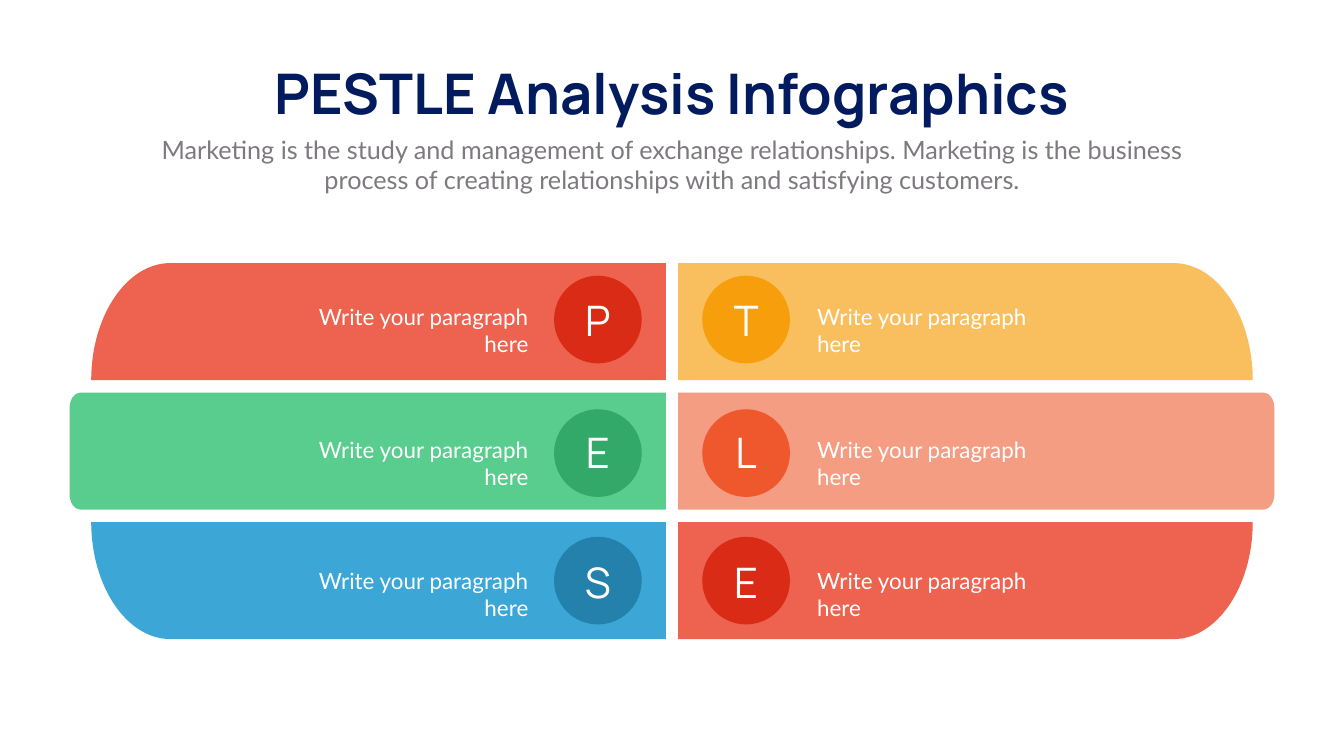
from lxml import etree
from pptx import Presentation
from pptx.dml.color import RGBColor
from pptx.enum.shapes import MSO_SHAPE
from pptx.enum.text import MSO_ANCHOR, MSO_AUTO_SIZE, PP_ALIGN
from pptx.oxml.ns import qn
from pptx.util import Inches, Pt

ELLIPSE = MSO_SHAPE.OVAL
TOP = MSO_ANCHOR.TOP
GROW = MSO_AUTO_SIZE.SHAPE_TO_FIT_TEXT
LEFT, CENTER, RIGHT = PP_ALIGN.LEFT, PP_ALIGN.CENTER, PP_ALIGN.RIGHT

TITLE = "PESTLE Analysis Infographics"
SUBTITLE = (
    "Marketing is the study and management of exchange relationships. "
    "Marketing is the business process of creating relationships with "
    "and satisfying customers."
)
CAPTION = "Write your paragraph here"

SIDES = [
    {
        "direction": -1, "caption_left": 5.32, "align": RIGHT,
        "factors": [("P", "EE6250", "D92B15"), ("E", "58CD8E", "33A969"), ("S", "3CA7D7", "2381AB")],
    },
    {
        "direction": 1, "caption_left": 16.11, "align": LEFT,
        "factors": [("T", "F9BF5F", "F69E0C"), ("L", "F59D83", "EE582C"), ("E", "EE6250", "D92B15")],
    },
]

NO_CORNER, SMALL_CORNER, BIG_CORNER = (0, 0), (0.21, 0.31), (1.57, 2.32)
ROWS = [
    {"width": 11.4, "top_corner": BIG_CORNER, "bottom_corner": NO_CORNER,
     "badge_top": 5.47, "letter_top": 5.8, "caption_top": 5.97},
    {"width": 11.83, "top_corner": SMALL_CORNER, "bottom_corner": SMALL_CORNER,
     "badge_top": 8.12, "letter_top": 8.41, "caption_top": 8.61},
    {"width": 11.4, "top_corner": NO_CORNER, "bottom_corner": BIG_CORNER,
     "badge_top": 10.65, "letter_top": 10.99, "caption_top": 11.21},
]

THEME = {
    "title": {"font": "Manrope", "size": 80, "color": "011B5E", "bold": True},
    "subtitle": {"font": "Lato", "size": 36, "color": "7D797E", "bold": False},
    "letter": {"font": "Manrope", "size": 60, "color": "FFFFFF", "bold": False},
    "caption": {"font": "Lato", "size": 32, "color": "FFFFFF", "bold": False},
}

SLIDE_WIDTH, SLIDE_HEIGHT = 26.66, 15
MIDDLE = SLIDE_WIDTH / 2
HALF_GAP = 0.12
BAR_TOP, BAR_HEIGHT, BAR_PITCH = 5.22, 2.32, 2.57
BADGE_OFFSET, BADGE_SIZE = 1.47, 1.74
LETTER_WIDTH, LETTER_HEIGHT = 1.59, 1.11
CAPTION_WIDTH, CAPTION_HEIGHT = 5.26, 0.64
ROUNDNESS = 0.55


def paint(shape, color):
    shape.shadow.inherit = False
    shape.fill.solid()
    shape.fill.fore_color.rgb = RGBColor.from_string(color)
    shape.line.fill.background()


def write(box, text, role, align, wrap=True):
    style = THEME[role]
    frame = box.text_frame
    frame.text = text
    frame.word_wrap = wrap
    frame.auto_size = GROW
    frame.vertical_anchor = TOP
    paragraph = frame.paragraphs[0]
    paragraph.alignment = align
    font = paragraph.font
    font.name = style["font"]
    font.size = Pt(style["size"])
    font.bold = style["bold"]
    font.color.rgb = RGBColor.from_string(style["color"])


def add_text(shapes, left, top, width, height, text, role, align):
    box = shapes.add_textbox(Inches(left), Inches(top), Inches(width), Inches(height))
    write(box, text, role, align)


def corner(width, radii, edge, inward):
    rx, ry = radii
    if not rx:
        return [(width, edge)]
    slack = 1 - ROUNDNESS
    return [
        (width - rx, edge),
        (width - rx * slack, edge),
        (width, edge + inward * ry * slack),
        (width, edge + inward * ry),
    ]


def bend(shape, curve_starts):
    lines = list(shape.element.iter(qn("a:lnTo")))
    for start in curve_starts:
        first, *others = lines[start:start + 3]
        curve = etree.Element(qn("a:cubicBezTo"))
        first.addprevious(curve)
        for line in (first, *others):
            curve.append(line[0])
            line.getparent().remove(line)


def add_bar(shapes, direction, top, row, color):
    width = row["width"]
    lower = corner(width, row["bottom_corner"], BAR_HEIGHT, -1)
    upper = corner(width, row["top_corner"], 0, 1)[::-1]
    outline = [(0, BAR_HEIGHT), *lower, *upper, (0, 0)]
    inner = MIDDLE + direction * HALF_GAP
    points = [(Inches(inner + direction * x), Inches(top + y)) for x, y in outline]
    builder = shapes.build_freeform(*points[0], scale=1.0)
    builder.add_line_segments(points[1:], close=True)
    bar = builder.convert_to_shape()
    curve_starts = [
        start for start, arc in ((1, lower), (len(lower) + 1, upper)) if len(arc) > 1
    ]
    bend(bar, curve_starts)
    paint(bar, color)


def add_factor(shapes, side, row, top, factor):
    letter, bar_color, badge_color = factor
    add_bar(shapes, side["direction"], top, row, bar_color)
    center = MIDDLE + side["direction"] * BADGE_OFFSET
    badge = shapes.add_shape(
        ELLIPSE, Inches(center - BADGE_SIZE / 2), Inches(row["badge_top"]),
        Inches(BADGE_SIZE), Inches(BADGE_SIZE),
    )
    paint(badge, badge_color)
    add_text(shapes, center - LETTER_WIDTH / 2, row["letter_top"],
             LETTER_WIDTH, LETTER_HEIGHT, letter, "letter", CENTER)
    add_text(shapes, side["caption_left"], row["caption_top"],
             CAPTION_WIDTH, CAPTION_HEIGHT, CAPTION, "caption", side["align"])


def main():
    deck = Presentation()
    deck.slide_width, deck.slide_height = Inches(SLIDE_WIDTH), Inches(SLIDE_HEIGHT)
    slide = deck.slides.add_slide(deck.slide_layouts[5])
    shapes = slide.shapes

    title = shapes.title
    title.left, title.top = Inches(4.96), Inches(1.12)
    title.width, title.height = Inches(16.74), Inches(1.45)
    write(title, TITLE, "title", CENTER, wrap=False)
    add_text(shapes, 2.92, 2.61, 20.82, 1.31, SUBTITLE, "subtitle", CENTER)

    for side in SIDES:
        for index, (row, factor) in enumerate(zip(ROWS, side["factors"])):
            add_factor(shapes, side, row, BAR_TOP + index * BAR_PITCH, factor)

    deck.save("out.pptx")


if __name__ == "__main__":
    main()
